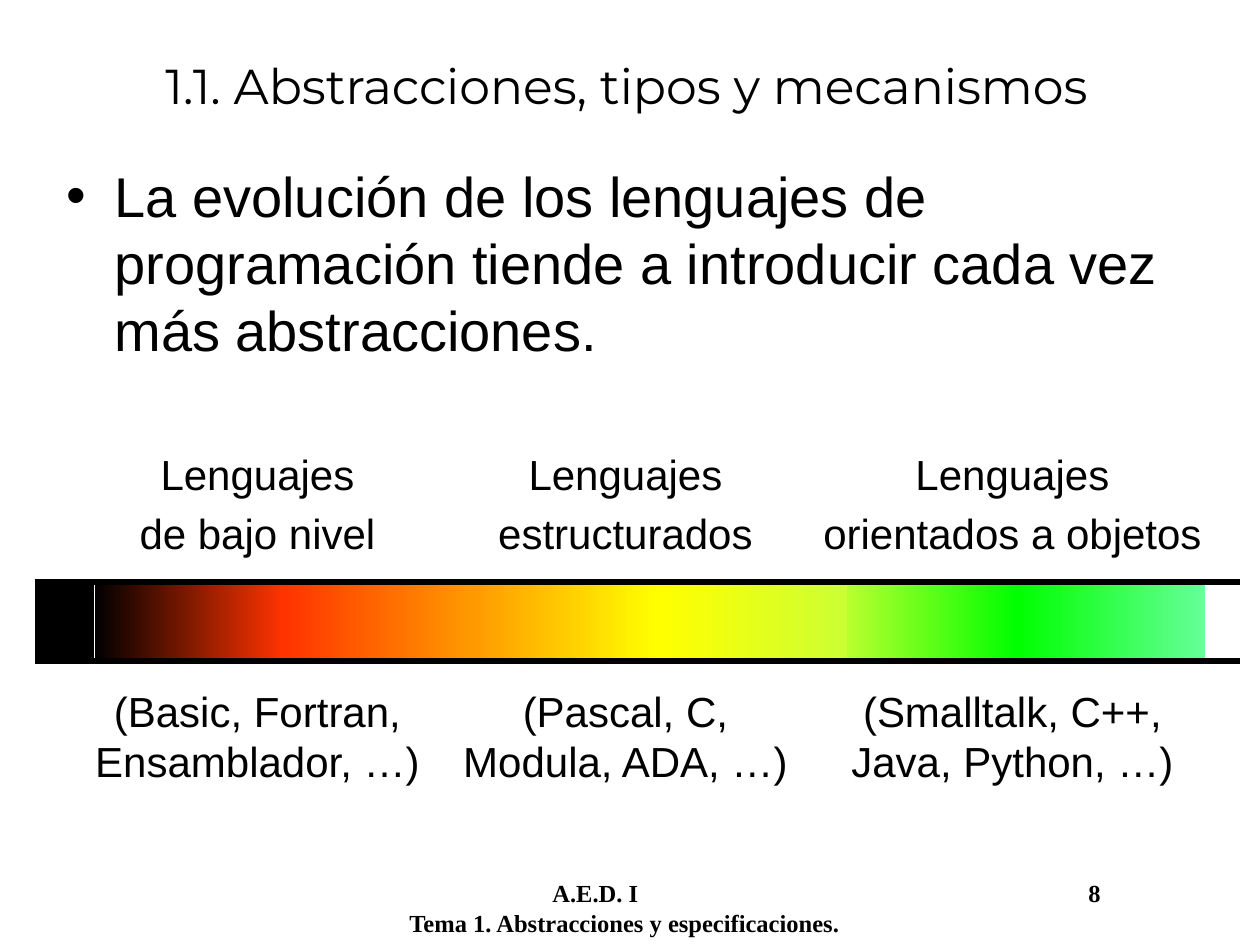
from lxml import etree
from pptx import Presentation, util as u
from pptx.dml.color import RGBColor
from pptx.enum import shapes, text
from pptx.oxml.ns import qn

PX = 914400 // 126  # one px in EMU

BLACK = RGBColor(0x00, 0x00, 0x00)
RED = RGBColor(0xFF, 0x33, 0x00)
ORANGE = RGBColor(0xFF, 0x99, 0x00)
YELLOW = RGBColor(0xFF, 0xFF, 0x00)
LIME = RGBColor(0xCC, 0xFF, 0x33)
GREEN = RGBColor(0x00, 0xFF, 0x00)
MINT = RGBColor(0x66, 0xFF, 0x99)

BAND_TOP, BAND_BOTTOM = 582, 661
BAND_LEFT, BAND_RIGHT = 35, 1240
SEGMENT_WIDTH = 188
SEGMENTS = [  # left, start colour, end colour; back to front
    (1017, GREEN, MINT),
    (829, LIME, GREEN),
    (659, YELLOW, LIME),
    (471, ORANGE, YELLOW),
    (283, RED, ORANGE),
    (95, BLACK, RED),
]
FAMILIES = [  # left, name of the family, lines of examples
    (54, "de bajo nivel", ["(Basic, Fortran, Ensamblador, …)"]),
    (422, "estructurados", ["(Pascal, C,", "Modula, ADA, …)"]),
    (809, "orientados a objetos", ["(Smalltalk, C++, Java, Python, …)"]),
]


def px(*lengths):
    return [u.Emu(length * PX) for length in lengths]


def add_frame(slide, left, top, width, height):
    frame = slide.shapes.add_textbox(*px(left, top, width, height)).text_frame
    frame.word_wrap = True
    return frame


def write(paragraph, lines, size, font="Arial", bold=False, align=text.PP_ALIGN.LEFT):
    paragraph.alignment = align
    for number, line in enumerate(lines):
        if number:
            paragraph.add_line_break()
        run = paragraph.add_run()
        run.text = line
        run.font.size = u.Pt(size)
        run.font.name = font
        run.font.bold = bold
        run.font.color.rgb = BLACK


def add_bullet(paragraph, indent):
    props = paragraph._p.get_or_add_pPr()
    props.set("marL", str(indent * PX))
    props.set("indent", str(-indent * PX))
    etree.SubElement(props, qn("a:buFont"), typeface="Arial")
    etree.SubElement(props, qn("a:buChar"), char="•")


def add_tabs(paragraph, stops):
    tabs = etree.SubElement(paragraph._p.get_or_add_pPr(), qn("a:tabLst"))
    for stop in stops:
        etree.SubElement(tabs, qn("a:tab"), pos=str(stop * PX), algn="l")


def add_band_part(slide, left, width, start, end=None):
    part = slide.shapes.add_shape(
        shapes.MSO_SHAPE.RECTANGLE,
        *px(left, BAND_TOP, width, BAND_BOTTOM - BAND_TOP))
    part.shadow.inherit = False
    part.line.fill.background()
    if end is None:
        part.fill.solid()
        part.fill.fore_color.rgb = start
        return
    part.fill.gradient()
    part.fill.gradient_angle = 0
    for stop, position, colour in zip(part.fill.gradient_stops, (0, 1), (start, end)):
        stop.position = position
        stop.color.rgb = colour


def add_band_edge(slide, y):
    edge = slide.shapes.add_connector(
        shapes.MSO_CONNECTOR.STRAIGHT, *px(BAND_LEFT, y, BAND_RIGHT, y))
    edge.line.color.rgb = BLACK
    edge.line.width = u.Pt(3)
    etree.SubElement(edge._element.spPr, qn("a:effectLst"))


def add_family(slide, left, name, examples):
    frame = add_frame(slide, left, 442, 407, 379)
    # The last gap leaves room for the colour band
    for number, (lines, gap) in enumerate(
            [(["Lenguajes"], None), ([name], 5), (examples, 73)]):
        paragraph = frame.add_paragraph() if number else frame.paragraphs[0]
        if gap:
            paragraph.space_before = u.Pt(gap)
        write(paragraph, lines, 24, align=text.PP_ALIGN.CENTER)


def add_footer(slide):
    frame = add_frame(slide, 397, 872, 837, 53)
    course = frame.paragraphs[0]
    add_tabs(course, [143, 679])
    write(course, ["\tA.E.D. I\t8"], 14, "Times New Roman", True)
    write(frame.add_paragraph(), ["Tema 1. Abstracciones y especificaciones."],
          14, "Times New Roman", True)


def main():
    deck = Presentation()
    deck.slide_width, deck.slide_height = px(1260, 945)
    slide = deck.slides.add_slide(deck.slide_layouts[6])

    add_footer(slide)

    # Title
    title = add_frame(slide, 28, 37, 1197, 95)
    title.vertical_anchor = text.MSO_ANCHOR.MIDDLE
    write(title.paragraphs[0], ["1.1. Abstracciones, tipos y mecanismos"],
          28, "Montserrat", align=text.PP_ALIGN.CENTER)

    # Main statement
    statement = add_frame(slide, 54, 155, 1139, 248).paragraphs[0]
    add_bullet(statement, 48)
    write(statement, ["La evolución de los lenguajes de programación tiende a "
                      "introducir cada vez más abstracciones."], 32)

    # Colour band
    for left, start, end in SEGMENTS:
        add_band_part(slide, left, SEGMENT_WIDTH, start, end)
    for y in (BAND_TOP, BAND_BOTTOM):
        add_band_edge(slide, y)
    add_band_part(slide, BAND_LEFT, 59, BLACK)

    # Language families
    for family in FAMILIES:
        add_family(slide, *family)

    deck.save("out.pptx")


if __name__ == "__main__":
    main()
